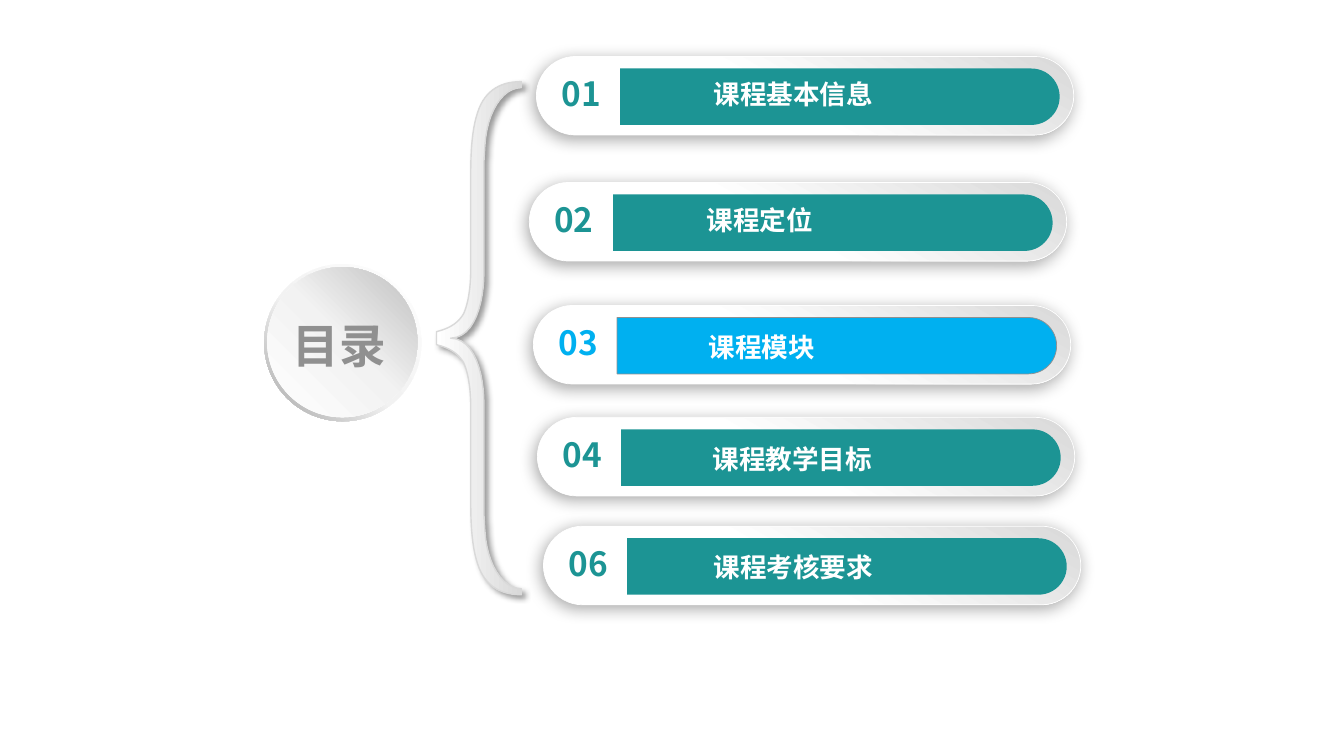
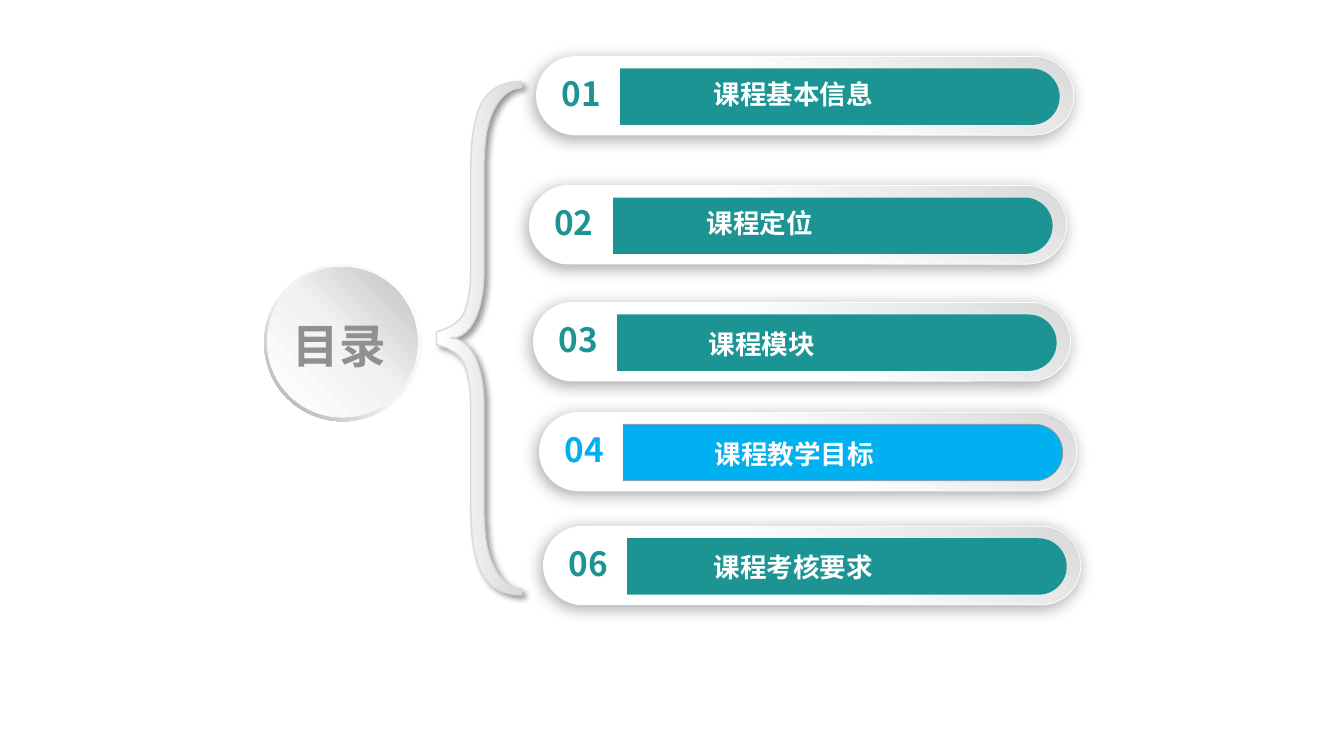
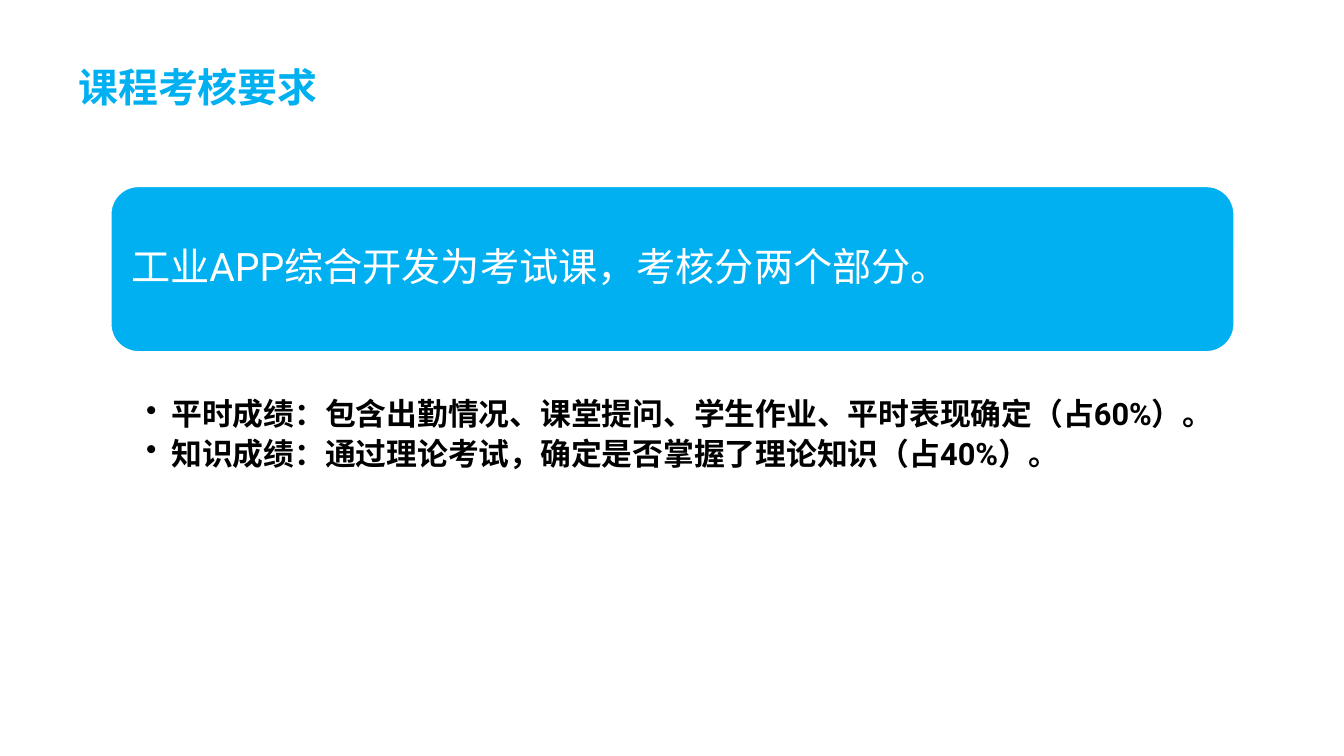
from lxml import etree
from pptx import Presentation
from pptx.dml.color import RGBColor
from pptx.enum import shapes, text
from pptx.oxml.ns import qn
from pptx.util import Inches, Pt

COLORS = {"teal": "1C9494", "blue": "00B0F0", "gray": "909090", "white": "FFFFFF",
          "silver": "D9D9D9", "black": "000000"}
CJK, LATIN = "Noto Sans CJK SC", "Roboto"

# Contents slides: highlighted number, then (number, title, left, top, title offset)
AGENDAS = [
    ("03", [("01", "课程基本信息", 5.32, 0.56, (1.66, 0.16)),
            ("02", "课程定位", 5.25, 1.81, (1.66, 0.16)),
            ("03", "课程模块", 5.29, 3.03, (1.64, 0.2)),
            ("04", "课程教学目标", 5.33, 4.14, (1.64, 0.2)),
            ("06", "课程考核要求", 5.39, 5.22, (1.59, 0.2))]),
    ("04", [("01", "课程基本信息", 5.32, 0.56, (1.66, 0.16)),
            ("02", "课程定位", 5.25, 1.84, (1.66, 0.16)),
            ("03", "课程模块", 5.29, 3.0, (1.64, 0.2)),
            ("04", "课程教学目标", 5.35, 4.09, (1.64, 0.21)),
            ("06", "课程考核要求", 5.39, 5.22, (1.59, 0.2))]),
]
AGENDA_TITLE = "目录"

# Assessment slide
ASSESSMENT_TITLE = "课程考核要求"
SUMMARY = "工业APP综合开发为考试课，考核分两个部分。"
GRADES = ["平时成绩：包含出勤情况、课堂提问、学生作业、平时表现确定（占60%）。",
          "知识成绩：通过理论考试，确定是否掌握了理论知识（占40%）。"]

# Upper half of the brace: 2 numbers make a corner, 6 a Bezier curve
BRACE_AXIS = 3.355
BRACE_HALF = [
    (4.33, 3.29), (4.46, 3.26, 4.55, 3.2, 4.6, 3.11), (4.64, 3.02, 4.67, 2.87, 4.67, 2.66),
    (4.67, 1.69), (4.67, 1.36, 4.71, 1.13, 4.79, 1), (4.87, 0.87, 5, 0.81, 5.17, 0.81),
    (5.17, 0.87), (4.98, 0.87, 4.83, 1.12, 4.81, 1.44), (4.8, 1.6), (4.8, 2.7),
    (4.8, 3, 4.71, 3.35, 4.47, BRACE_AXIS)]

PILL_GRADIENT = [(45, COLORS["white"]), (100, COLORS["silver"])]
BRACE_GRADIENT = [(0, COLORS["white"]), (100, COLORS["silver"])]
RING_GRADIENT = [(0, COLORS["white"]), (55, "F2F2F2"), (100, "A6A6A6")]
DISC_GRADIENT = [(0, COLORS["white"]), (51, "F2F2F2"), (100, "BFBFBF")]


def rgb(name):
    return RGBColor.from_string(COLORS[name])


def style(shape, fill=None, line=None, width=0.5):
    shape.shadow.inherit = False
    if fill:
        shape.fill.solid()
        shape.fill.fore_color.rgb = rgb(fill)
    if line:
        shape.line.color.rgb = rgb(line)
        shape.line.width = Pt(width)
    else:
        shape.line.fill.background()


def add_shape(slide, kind, left, top, width, height):
    return slide.shapes.add_shape(kind, *map(Inches, (left, top, width, height)))


def set_gradient(shape, stops, angle):
    """Angle is in degrees, clockwise."""
    shape.fill.gradient()
    gradient = shape.element.spPr.find(qn("a:gradFill"))
    stop_list = gradient.find(qn("a:gsLst"))
    for stop in list(stop_list):
        stop_list.remove(stop)
    for position, color in stops:
        stop = etree.SubElement(stop_list, qn("a:gs"), pos=str(position * 1000))
        etree.SubElement(stop, qn("a:srgbClr"), val=color)
    gradient.find(qn("a:lin")).set("ang", str(angle * 60000))


def add_shadow(shape, opacity, blur, distance, angle):
    effects = shape.element.spPr.find(qn("a:effectLst"))
    shadow = etree.SubElement(
        effects, qn("a:outerShdw"), blurRad=str(Pt(blur)), dist=str(Pt(distance)),
        dir=str(angle * 60000), algn="ctr", rotWithShape="0")
    color = etree.SubElement(shadow, qn("a:srgbClr"), val=COLORS["black"])
    etree.SubElement(color, qn("a:alpha"), val=str(opacity * 1000))


def set_font(para, size, color, name=CJK, bold=True):
    font = para.font
    font.size, font.bold, font.name = Pt(size), bold, name
    font.color.rgb = rgb(color)
    properties = para._p.pPr.find(qn("a:defRPr"))
    etree.SubElement(properties, qn("a:ea"), typeface=CJK)


def set_bullet(para, indent):
    properties = para._p.get_or_add_pPr()
    properties.set("marL", str(Inches(indent)))
    properties.set("indent", str(Inches(-indent)))
    bullet = etree.SubElement(properties, qn("a:buChar"), char="•")
    properties.find(qn("a:defRPr")).addprevious(bullet)


def set_insets(frame, left, top, right, bottom):
    frame.margin_left, frame.margin_top = Inches(left), Inches(top)
    frame.margin_right, frame.margin_bottom = Inches(right), Inches(bottom)


def add_text(slide, words, left, top, width, height, size, color, name=CJK, wrap=False):
    box = slide.shapes.add_textbox(*map(Inches, (left, top, width, height)))
    frame = box.text_frame
    frame.word_wrap = wrap
    frame.text = words
    for para in frame.paragraphs:
        set_font(para, size, color, name)
    return frame


def outline(segments, steps=12):
    """Turn corners and Bezier curves into points."""
    points = []
    for segment in segments:
        if len(segment) == 2:
            points.append(segment)
            continue
        start, (a, b, c, d, *end) = points[-1], segment
        for step in range(1, steps + 1):
            t = step / steps
            weights = ((1 - t) ** 3, 3 * t * (1 - t) ** 2, 3 * t * t * (1 - t), t ** 3)
            controls = (start, (a, b), (c, d), end)
            points.append(tuple(sum(w * p[axis] for w, p in zip(weights, controls))
                                for axis in (0, 1)))
    return points


def add_brace(slide):
    upper = outline(BRACE_HALF)
    lower = [(x, 2 * BRACE_AXIS - y) for x, y in reversed(upper)]
    # The builder rounds to whole units, so it is given EMU
    points = [(Inches(x), Inches(y)) for x, y in upper + lower[1:]]
    builder = slide.shapes.build_freeform(*points[0])
    builder.add_line_segments(points[1:], close=True)
    brace = builder.convert_to_shape()
    style(brace, line="silver", width=1)
    set_gradient(brace, BRACE_GRADIENT, 0)
    add_shadow(brace, 40, 4, 3, 45)


def add_hub(slide):
    ring = add_shape(slide, shapes.MSO_SHAPE.DONUT, 2.62, 2.62, 1.56, 1.56)
    ring.adjustments[0] = 0.049
    disc = add_shape(slide, shapes.MSO_SHAPE.OVAL, 2.65, 2.65, 1.49, 1.49)
    for shape, stops, angle in ((ring, RING_GRADIENT, 135), (disc, DISC_GRADIENT, 315)):
        style(shape)
        set_gradient(shape, stops, angle)
    frame = add_text(slide, AGENDA_TITLE, 2.55, 3.14, 1.63, 0.56, 33.3, "gray", wrap=True)
    set_insets(frame, 0, 0, 0, 0)
    frame.paragraphs[0].alignment = text.PP_ALIGN.CENTER


def add_entry(slide, number, title, left, top, offset, active):
    accent = "blue" if active else "teal"
    pill = add_shape(slide, shapes.MSO_SHAPE.ROUNDED_RECTANGLE, left, top, 5.33, 0.78)
    pill.adjustments[0] = 0.5
    style(pill, line="white")
    set_gradient(pill, PILL_GRADIENT, 300)
    add_shadow(pill, 34, 12, 3, 135)

    # Bar: a shape rounded on top, turned a quarter so the round end is at the right
    length, depth = 4.36, 0.56
    shift = (length - depth) / 2
    bar = add_shape(slide, shapes.MSO_SHAPE.ROUND_2_SAME_RECTANGLE,
                    left + 0.83 + shift, top + 0.12 - shift, depth, length)
    bar.adjustments[0] = 0.5
    bar.rotation = 90
    style(bar, accent, "gray" if active else None)

    add_text(slide, number, left + 0.15, top + 0.12, 0.61, 0.5, 23.8, accent)
    add_text(slide, title, left + offset[0], top + offset[1],
             0.22 + 0.26 * len(title), 0.42, 19, "white")


def add_agenda(slide, active, entries):
    add_hub(slide)
    add_brace(slide)
    for number, *details in entries:
        add_entry(slide, number, *details, number == active)


def add_assessment(slide):
    add_text(slide, ASSESSMENT_TITLE, 0.68, 0.57, 4.4, 0.58, 28.5, "blue", LATIN, True)

    # Summary panel
    panel = add_shape(slide, shapes.MSO_SHAPE.ROUNDED_RECTANGLE, 1.1, 1.85, 11.14, 1.64)
    style(panel, "blue", "white", 1)
    frame = panel.text_frame
    frame.word_wrap = True
    frame.vertical_anchor = text.MSO_ANCHOR.MIDDLE
    set_insets(frame, 0.12, 0.12, 0.12, 0.12)
    frame.text = SUMMARY
    para = frame.paragraphs[0]
    para.alignment = text.PP_ALIGN.LEFT
    para.line_spacing = 0.9
    set_font(para, 28, "white", LATIN, False)

    # Bulleted grades
    frame = add_text(slide, "\n".join(GRADES), 1.1, 3.49, 11.14, 1.69, 22, "black", LATIN, True)
    set_insets(frame, 0.35, 0.47, 0.22, 0.04)
    for para in frame.paragraphs:
        para.line_spacing = 0.9
        para.space_after = Pt(4.4)
        set_bullet(para, 0.25)


def main():
    deck = Presentation()
    deck.slide_width, deck.slide_height = Inches(13.33), Inches(7.5)
    blank = deck.slide_layouts[6]
    for active, entries in AGENDAS:
        add_agenda(deck.slides.add_slide(blank), active, entries)
    add_assessment(deck.slides.add_slide(blank))
    deck.save("out.pptx")


if __name__ == "__main__":
    main()
